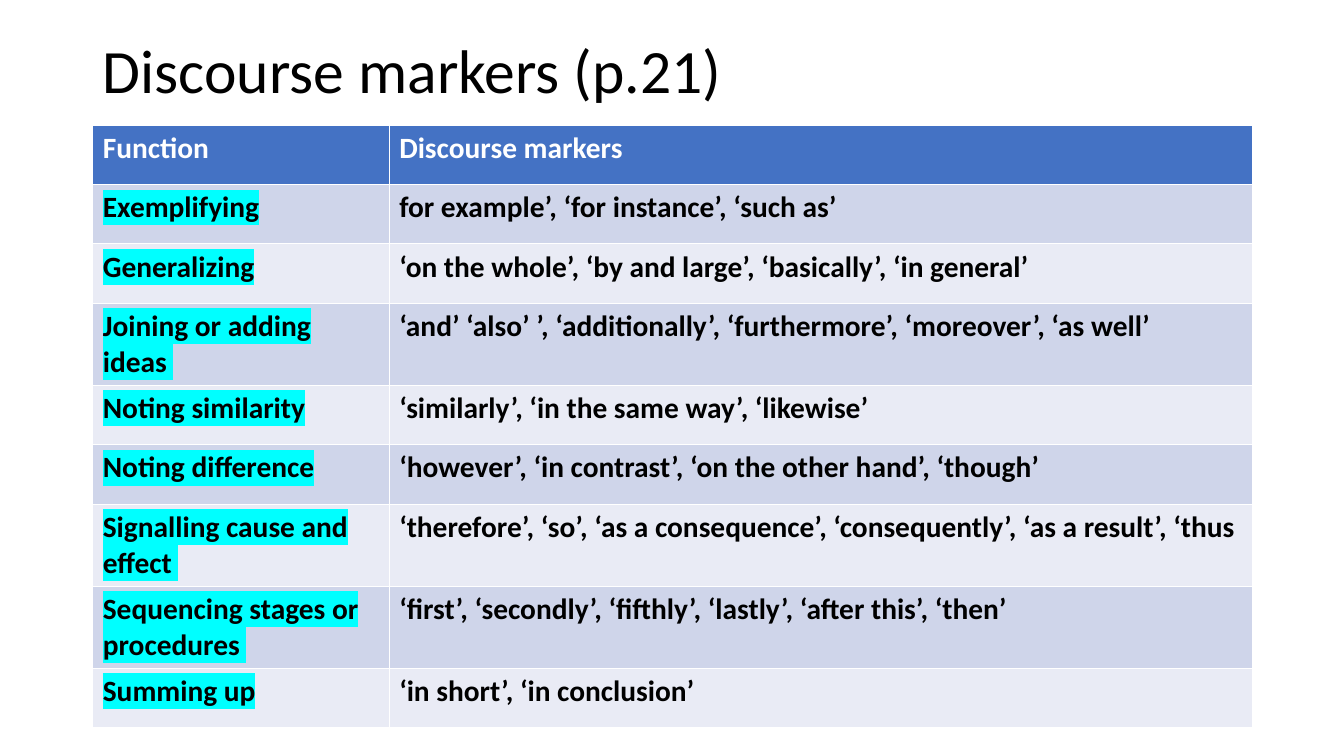
import pptx
import pptx.util
import pptx.dml.color
import pptx.enum.text
import pptx.oxml.ns
import lxml.etree

Inches = pptx.util.Inches
Pt = pptx.util.Pt
RGBColor = pptx.dml.color.RGBColor
qn = pptx.oxml.ns.qn

# Content
TITLE = "Discourse markers (p.21)"
HEAD = ("Function", "Discourse markers")
ROWS = [
    ("Exemplifying", "for example’, ‘for instance’, ‘such as’"),
    ("Generalizing", "‘on the whole’, ‘by and large’, ‘basically’, ‘in general’"),
    ("Joining or adding ideas ",
     "‘and’ ‘also’ ’, ‘additionally’, ‘furthermore’, ‘moreover’, ‘as well’"),
    ("Noting similarity", "‘similarly’, ‘in the same way’, ‘likewise’"),
    ("Noting difference", "‘however’, ‘in contrast’, ‘on the other hand’, ‘though’"),
    ("Signalling cause and effect ",
     "‘therefore’, ‘so’, ‘as a consequence’, ‘consequently’, ‘as a result’, ‘thus"),
    ("Sequencing stages or procedures ",
     "‘first’, ‘secondly’, ‘fifthly’, ‘lastly’, ‘after this’, ‘then’"),
    ("Summing up", "‘in short’, ‘in conclusion’"),
]

# Look
FONT = "Calibri"
BLACK = RGBColor(0x00, 0x00, 0x00)
WHITE = RGBColor(0xFF, 0xFF, 0xFF)
BLUE = RGBColor(0x44, 0x72, 0xC4)
BANDS = (RGBColor(0xCF, 0xD5, 0xEA), RGBColor(0xE9, 0xEB, 0xF5))
CYAN = RGBColor(0x00, 0xFF, 0xFF)
LEFT, TOP, WIDTH = 0.92, 1.24, 11.5
COLS = (2.94, 8.56)
ROW = 0.59


def style(para, size, color, bold):
    font = para.font
    font.name, font.size, font.bold = FONT, Pt(size), bold
    font.color.rgb = color


def mark(run, color):
    """Put a highlight behind a run."""
    glow = lxml.etree.SubElement(run.font._element, qn("a:highlight"))
    lxml.etree.SubElement(glow, qn("a:srgbClr"), val=str(color))


def main():
    deck = pptx.Presentation()
    deck.slide_width, deck.slide_height = Inches(13.33), Inches(7.5)
    slide = deck.slides.add_slide(deck.slide_layouts[5])

    # Title
    title = slide.shapes.title
    title.left, title.top = Inches(LEFT), Inches(0)
    title.width, title.height = Inches(WIDTH), Inches(1.45)
    frame = title.text_frame
    frame.text = TITLE
    frame.vertical_anchor = pptx.enum.text.MSO_ANCHOR.MIDDLE
    para = frame.paragraphs[0]
    para.alignment = pptx.enum.text.PP_ALIGN.LEFT
    para.line_spacing = 0.9
    style(para, 44, BLACK, False)

    # Table
    lines = [HEAD] + ROWS
    table = slide.shapes.add_table(
        len(lines), len(COLS), Inches(LEFT), Inches(TOP),
        Inches(WIDTH), Inches(ROW * len(lines))).table
    for col, width in zip(table.columns, COLS):
        col.width = Inches(width)
    for r, line in enumerate(lines):
        table.rows[r].height = Inches(ROW)
        for c, text in enumerate(line):
            cell = table.cell(r, c)
            cell.text = text
            cell.fill.solid()
            cell.fill.fore_color.rgb = BANDS[(r - 1) % 2] if r else BLUE
            para = cell.text_frame.paragraphs[0]
            style(para, 21, BLACK if r else WHITE, True)
            if r and c == 0:
                mark(para.runs[0], CYAN)

    deck.save("out.pptx")


if __name__ == "__main__":
    main()
